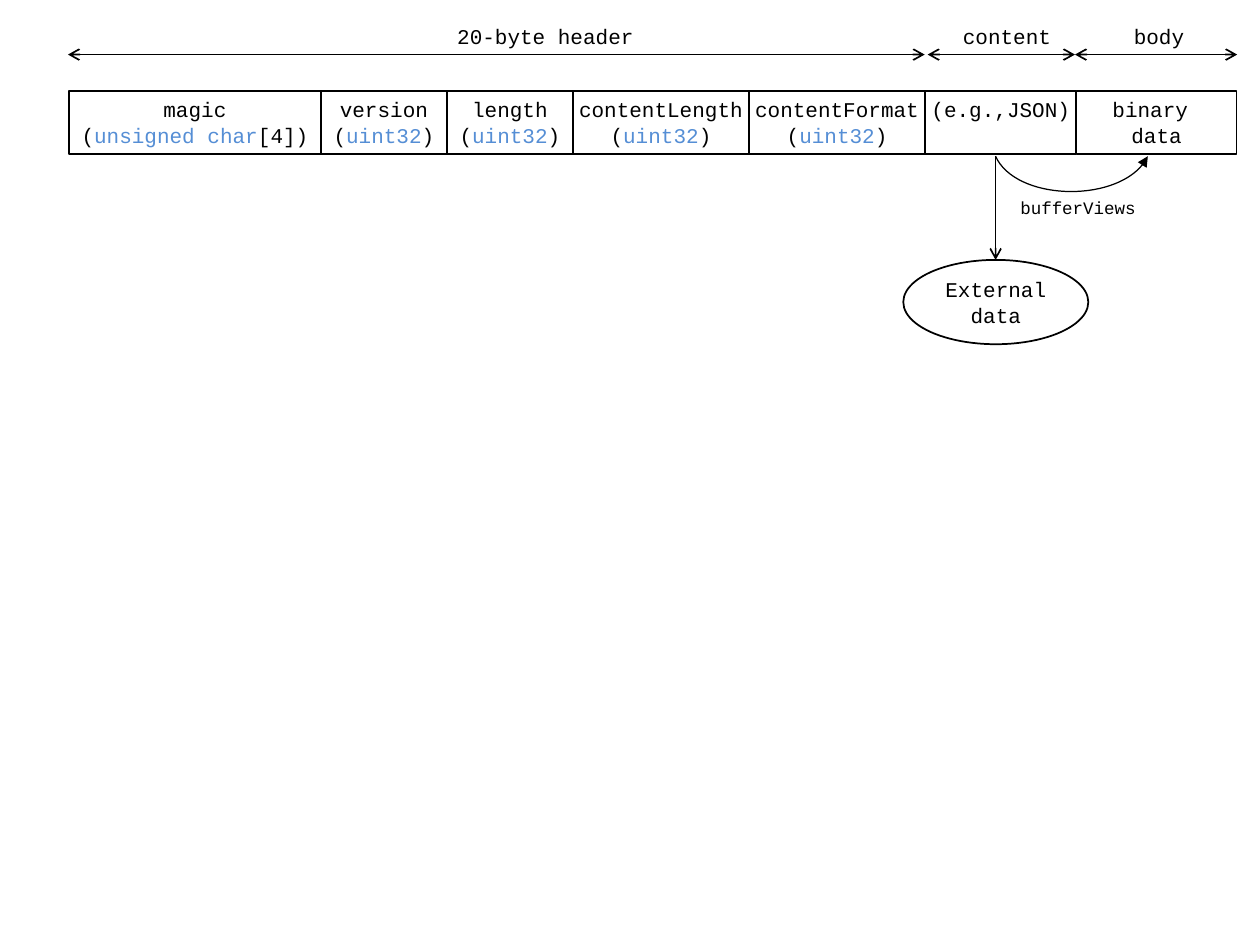
"""Build the binary file layout diagram."""
from lxml import etree
from pptx import Presentation
from pptx.dml.color import RGBColor
from pptx.enum import shapes, text as text_enum
from pptx.oxml import ns
from pptx.util import Cm, Pt

BLACK = RGBColor(0x00, 0x00, 0x00)
BLUE = RGBColor(0x55, 0x8E, 0xD5)
WHITE = RGBColor(0xFF, 0xFF, 0xFF)


def write(box, text, size=12, wrap=False, anchor=text_enum.MSO_ANCHOR.TOP):
    """Write centred lines, with the parts between bars in blue."""
    frame = box.text_frame
    frame.word_wrap = wrap
    frame.vertical_anchor = anchor
    for index, line in enumerate(text.split("\n")):
        para = frame.paragraphs[0] if index == 0 else frame.add_paragraph()
        para.alignment = text_enum.PP_ALIGN.CENTER
        for part, words in enumerate(line.split("|")):
            span = para.add_run()
            span.text = words
            span.font.name = "Courier New"
            span.font.size = Pt(size)
            span.font.color.rgb = BLUE if part % 2 else BLACK


def draw_line(shape, width=1, **ends):
    """Style a black line without shadow and with the given arrowheads."""
    shape.line.color.rgb = BLACK
    shape.line.width = Pt(width)
    outline = shape.line._get_or_add_ln()
    for end, kind in ends.items():
        etree.SubElement(outline, ns.qn(f"a:{end}"), type=kind)
    etree.SubElement(shape._element.spPr, ns.qn("a:effectLst"))


deck = Presentation()
deck.slide_width, deck.slide_height = Cm(25.4), Cm(19.05)
page = deck.slides.add_slide(deck.slide_layouts[6])

fields = [
    ("magic\n(|unsigned char|[4])", 5.08),
    ("version\n(|uint32|)", 2.54),
    ("length\n(|uint32|)", 2.54),
    ("contentLength\n(|uint32|)", 3.55),
    ("contentFormat\n(|uint32|)", 3.55),
    ("(e.g.,JSON)", 3.05),
    ("binary \ndata", 3.23),
]
left = 1.39
for text, width in fields:
    field = page.shapes.add_shape(
        shapes.MSO_SHAPE.RECTANGLE, Cm(left), Cm(1.83), Cm(width), Cm(1.27))
    field.fill.background()
    draw_line(field)
    write(field, text)
    left += width

external = page.shapes.add_shape(
    shapes.MSO_SHAPE.OVAL, Cm(18.21), Cm(5.24), Cm(3.73), Cm(1.7))
external.fill.solid()
external.fill.fore_color.rgb = WHITE
draw_line(external)
write(external, "External data", wrap=True, anchor=text_enum.MSO_ANCHOR.MIDDLE)

labels = [
    ("20-byte header", 8.71, 0.36, 4.57, 0.77, 12),
    ("content", 19.03, 0.36, 2.54, 0.77, 12),
    ("body", 22.35, 0.36, 2.03, 0.77, 12),
    ("bufferViews", 20.23, 3.84, 3, 0.66, 10),
]
for text, left, top, width, height, size in labels:
    label = page.shapes.add_textbox(Cm(left), Cm(top), Cm(width), Cm(height))
    write(label, text, size=size)

arrows = [
    (1.37, 1.1, 18.64, 1.1, {"headEnd": "arrow", "tailEnd": "arrow"}),
    (18.7, 1.1, 21.67, 1.1, {"headEnd": "arrow", "tailEnd": "arrow"}),
    (21.67, 1.1, 24.94, 1.1, {"headEnd": "arrow", "tailEnd": "arrow"}),
    (20.07, 3.15, 20.07, 5.24, {"tailEnd": "arrow"}),
]
for *points, ends in arrows:
    arrow = page.shapes.add_connector(
        shapes.MSO_CONNECTOR.STRAIGHT, *map(Cm, points))
    draw_line(arrow, **ends)

builder = page.shapes.build_freeform(Cm(20.07), Cm(3.15))
controls = [(20.47, 4.04), (22.68, 4.11), (23.14, 3.15)]
builder.add_line_segments([(Cm(x), Cm(y)) for x, y in controls], close=False)
curve = builder.convert_to_shape()
segments = curve._element.findall(".//" + ns.qn("a:lnTo"))
bezier = etree.SubElement(segments[0].getparent(), ns.qn("a:cubicBezTo"))
for segment in segments:
    bezier.append(segment[0])
    segment.getparent().remove(segment)
curve.fill.background()
draw_line(curve, width=0.7, tailEnd="triangle")

deck.save("out.pptx")
